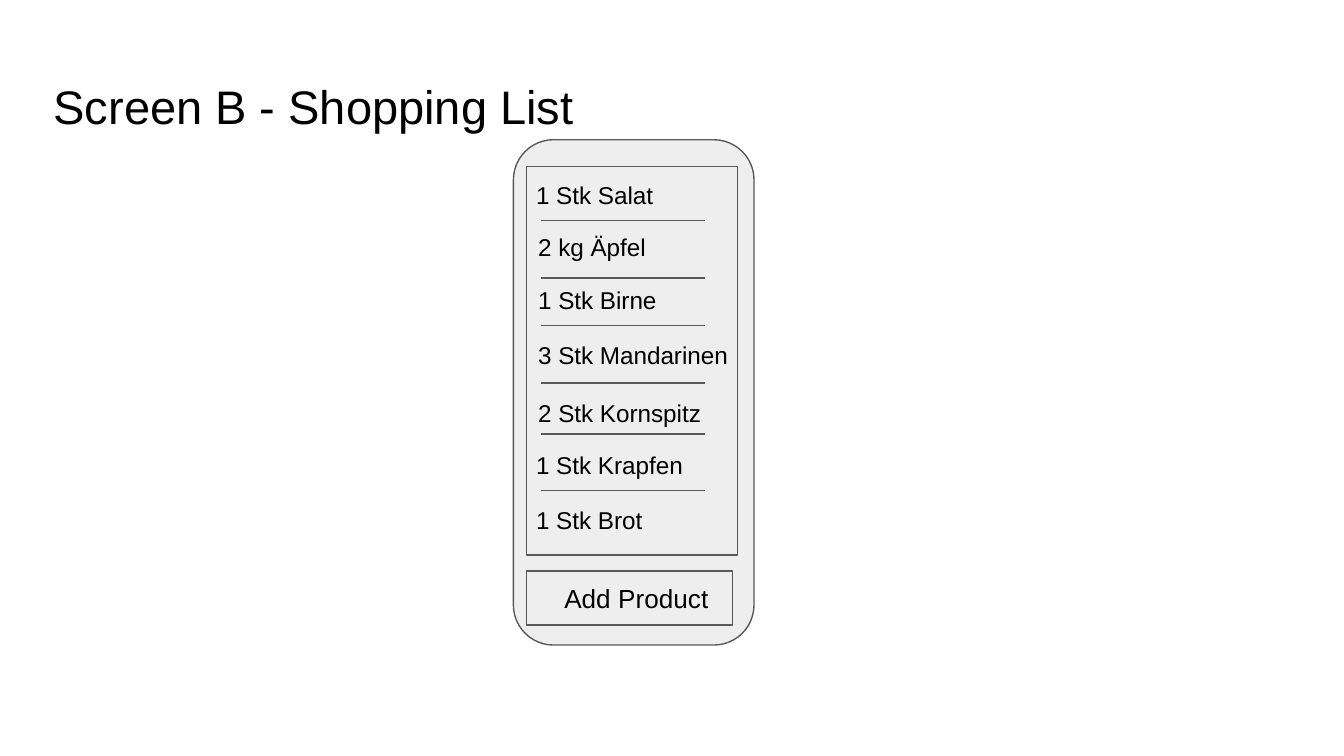
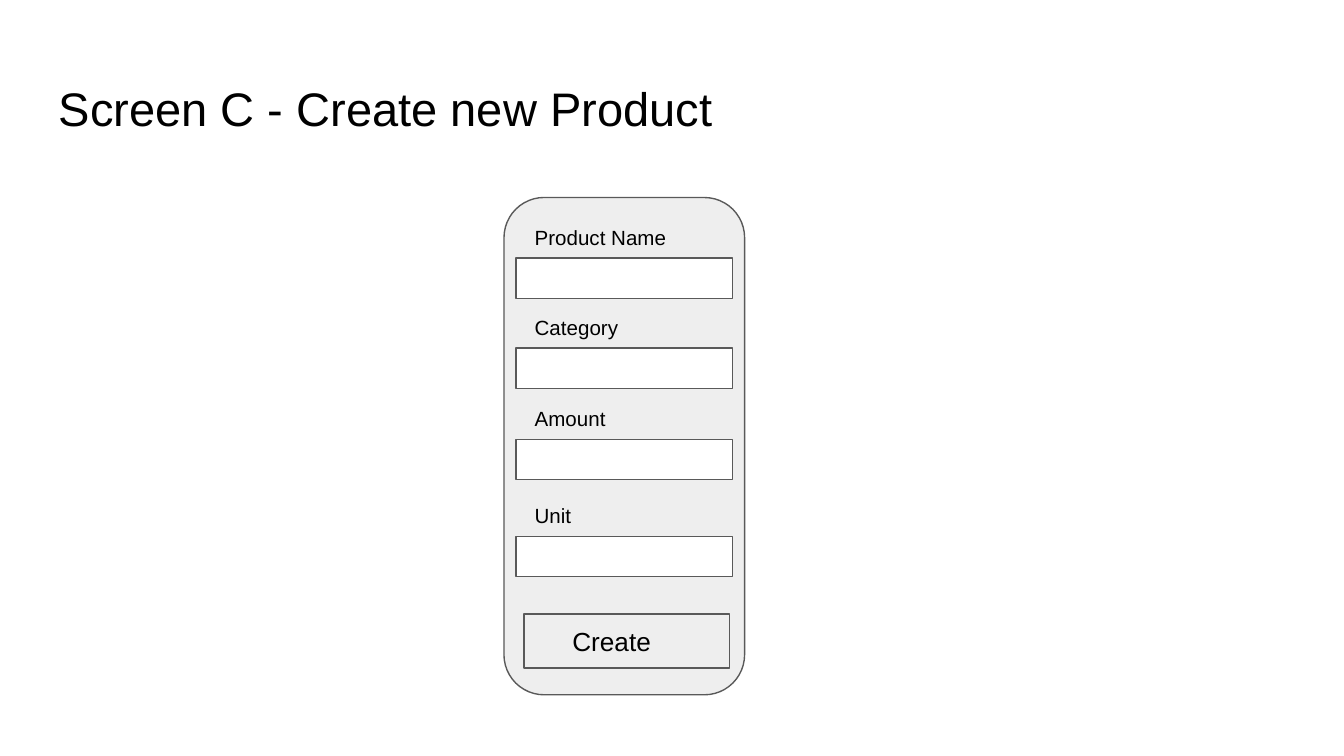
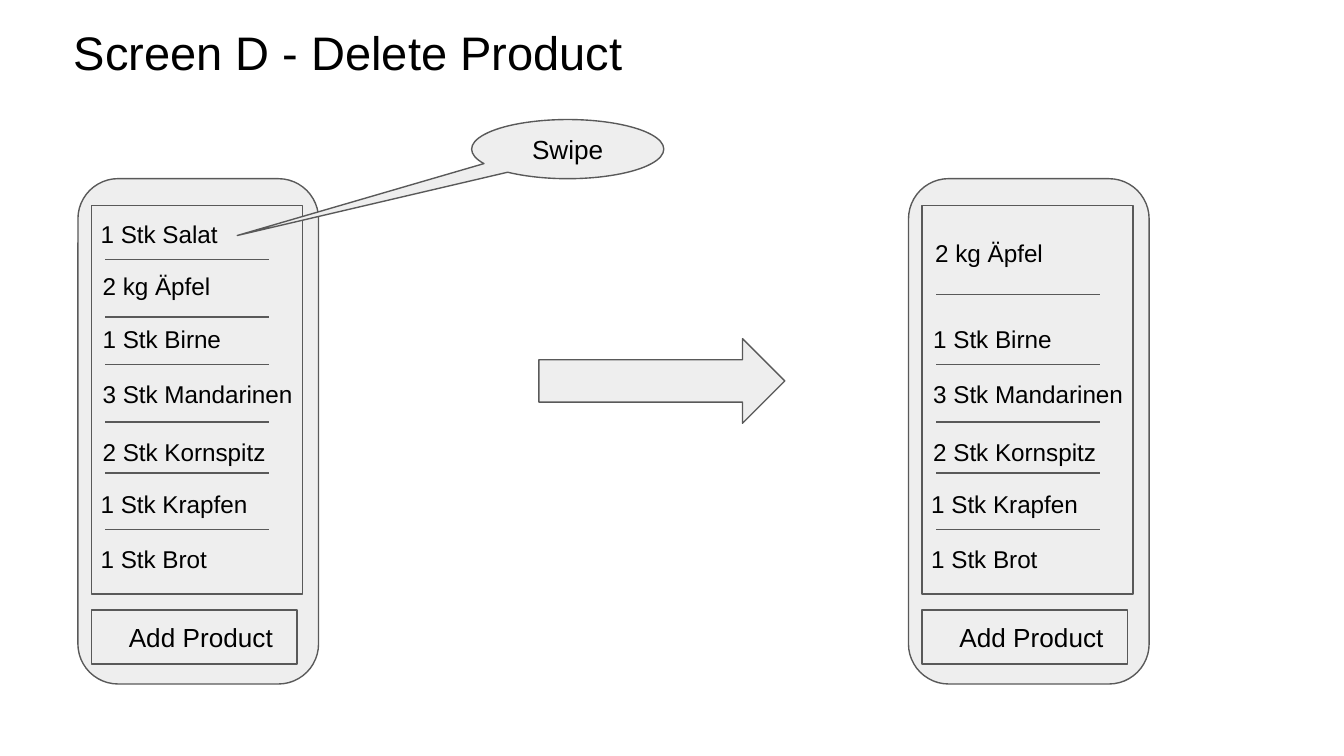
"""Build three wireframe slides of a shopping list app."""
from dataclasses import dataclass

from lxml.etree import SubElement
from pptx import Presentation
from pptx.dml.color import RGBColor
from pptx.enum.shapes import MSO_CONNECTOR, MSO_SHAPE
from pptx.enum.text import MSO_ANCHOR, MSO_AUTO_SIZE, PP_ALIGN
from pptx.oxml.ns import qn
from pptx.shapes.autoshape import Shape
from pptx.slide import Slide
from pptx.text.text import TextFrame
from pptx.util import Inches, Pt

BLACK = RGBColor(0x00, 0x00, 0x00)
WHITE = RGBColor(0xFF, 0xFF, 0xFF)
PALE = RGBColor(0xEE, 0xEE, 0xEE)
GREY = RGBColor(0x59, 0x59, 0x59)

WIDE = Inches(10)
HIGH = WIDE * 9 // 16
CELL = WIDE / 100
FONT = {"name": "Arial"}
EDGE = Pt(0.75)
PAD = {f"margin_{side}": Inches(0.1) for side in ("left", "top", "right", "bottom")}
GROW = {"auto_size": MSO_AUTO_SIZE.SHAPE_TO_FIT_TEXT, "vertical_anchor": MSO_ANCHOR.TOP}
MID = {"auto_size": MSO_AUTO_SIZE.NONE, "vertical_anchor": MSO_ANCHOR.MIDDLE}


@dataclass(frozen=True)
class Box:
    """A place on the grid, in columns and rows."""
    col: float
    row: float
    cols: float
    rows: float

    def span(self) -> list[int]:
        """Return left, top, width and height in slide units."""
        return [round(n * CELL) for n in (self.col, self.row, self.cols, self.rows)]


@dataclass(frozen=True)
class Item:
    """A list entry, with the rows of its text and of the rule below it."""
    text: str
    col: float
    row: float
    rule: float | None = None


SALAD = Item("1 Stk Salat", 0.7, 2, 6)
APPLE = Item("2 kg Äpfel", 0.85, 5.9, 10.3)
REST = [
    Item("1 Stk Birne", 0.85, 9.8, 13.8),
    Item("3 Stk Mandarinen", 0.85, 13.9, 18.1),
    Item("2 Stk Kornspitz", 0.85, 18.2, 21.9),
    Item("1 Stk Krapfen", 0.7, 22.1, 26.1),
    Item("1 Stk Brot", 0.7, 26.2),
]
FULL = [SALAD, APPLE, *REST]
LESS = [Item("2 kg Äpfel", 1, 3.4, 8.6), *REST]
FIELDS = {"Product Name": 4.5, "Category": 11.2, "Amount": 18, "Unit": 25.2}


def apply(thing: object, form: dict) -> None:
    """Set each format value on an object."""
    for key, value in form.items():
        setattr(thing, key, value)


def write(frame: TextFrame, text: str, size: float, form: dict) -> None:
    """Fill a text frame with one formatted line."""
    apply(frame, {"word_wrap": True, **PAD, **form})
    run = frame.paragraphs[0].add_run()
    run.text = text
    apply(run.font, {**FONT, "size": Pt(size)})
    run.font.color.rgb = BLACK


def label(slide: Slide, text: str, box: Box, size: float, form: dict = GROW) -> None:
    """Add a text box."""
    write(slide.shapes.add_textbox(*box.span()).text_frame, text, size, form)


def block(slide: Slide, kind: MSO_SHAPE, box: Box, fill: RGBColor = PALE) -> Shape:
    """Add a flat shape with a thin grey edge."""
    shape = slide.shapes.add_shape(kind, *box.span())
    shape.shadow.inherit = False
    shape.fill.solid()
    shape.fill.fore_color.rgb = fill
    shape.line.color.rgb = GREY
    shape.line.width = EDGE
    return shape


def rule(slide: Slide, col: float, row: float) -> None:
    """Add a thin level line below a list entry."""
    ends = [round(n * CELL) for n in (col, row, col + 12.2, row)]
    line = slide.shapes.add_connector(MSO_CONNECTOR.STRAIGHT, *ends)
    line.line.color.rgb = GREY
    line.line.width = EDGE
    SubElement(line._element.spPr, qn("a:effectLst"))


def button(slide: Slide, col: float, row: float, text: str, shift: float, cols: float) -> None:
    """Add a button with its text."""
    block(slide, MSO_SHAPE.RECTANGLE, Box(col, row, 15.3, 4))
    label(slide, text, Box(col + shift, row - 0.2, cols, 4.4), 14)


def phone(slide: Slide, col: float, row: float, rows: float) -> None:
    """Add the rounded body of a phone."""
    block(slide, MSO_SHAPE.ROUNDED_RECTANGLE, Box(col, row, 17.9, rows))


def shop(slide: Slide, col: float, row: float, items: list[Item]) -> None:
    """Add a phone that shows a shopping list."""
    phone(slide, col, row, 37.6)
    block(slide, MSO_SHAPE.RECTANGLE, Box(col + 1, row + 2, 15.7, 28.9))
    button(slide, col + 1, row + 32.1, "Add Product", 1.8, 20.2)
    for item in items:
        label(slide, item.text, Box(col + item.col, row + item.row, 17.2, 4.2), 13)
        if item.rule is not None:
            rule(slide, col + 2.05, row + item.rule)


def form(slide: Slide, col: float, row: float) -> None:
    """Add a phone that shows the product form."""
    phone(slide, col, row, 37)
    for text, down in FIELDS.items():
        label(slide, text, Box(col + 1.3, row + down - 3.4, 13.6, 3.9), 11)
        block(slide, MSO_SHAPE.RECTANGLE, Box(col + 0.9, row + down, 16.1, 3), WHITE)
    button(slide, col + 1.5, row + 31, "Create", 2.6, 9.8)


def swipe(slide: Slide, box: Box) -> None:
    """Add the callout that points at the swiped entry."""
    shape = block(slide, MSO_SHAPE.OVAL_CALLOUT, box)
    shape.adjustments[0], shape.adjustments[1] = -1.72, 1.46
    write(shape.text_frame, "Swipe", 14, MID)
    shape.text_frame.paragraphs[0].alignment = PP_ALIGN.CENTER


def main() -> None:
    """Build and save the deck."""
    deck = Presentation()
    apply(deck, {"slide_width": WIDE, "slide_height": HIGH})

    def page(title: str, col: float, row: float) -> Slide:
        """Add a blank slide with a title."""
        slide = deck.slides.add_slide(deck.slide_layouts[6])
        label(slide, title, Box(col, row, 93.2, 6.3), 25.2, MID)
        return slide

    shop(page("Screen B - Shopping List", 3, 4.75), 38.2, 10.4, FULL)
    form(page("Screen C - Create new Product", 3.4, 4.9), 37.5, 14.7)

    last = page("Screen D - Delete Product", 4.5, 0.7)
    shop(last, 5.8, 13.3, FULL)
    swipe(last, Box(35.1, 8.9, 14.3, 4.4))
    shop(last, 67.6, 13.3, LESS)
    block(last, MSO_SHAPE.RIGHT_ARROW, Box(40.1, 25.2, 18.3, 6.3))

    deck.save("out.pptx")


if __name__ == "__main__":
    main()
